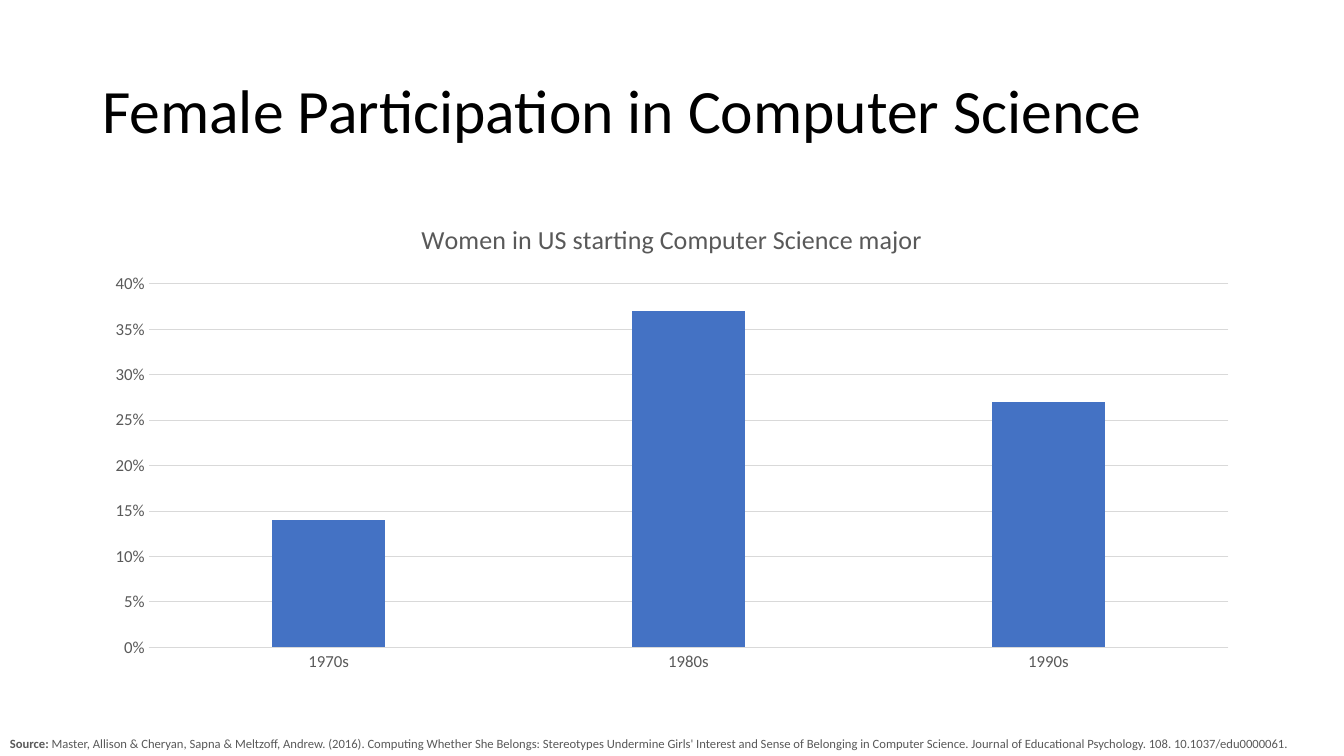
"""Build a slide with a column chart of women starting a Computer Science major."""
from pptx import Presentation
from pptx.chart.data import CategoryChartData
from pptx.dml.color import RGBColor
from pptx.enum.chart import XL_CHART_TYPE, XL_TICK_MARK
from pptx.enum.text import MSO_ANCHOR
from pptx.util import Cm, Pt

COLUMNS = XL_CHART_TYPE.COLUMN_CLUSTERED
NO_TICK = XL_TICK_MARK.NONE
MIDDLE, TOP = MSO_ANCHOR.MIDDLE, MSO_ANCHOR.TOP

BLACK = RGBColor(0x00, 0x00, 0x00)
WHITE = RGBColor(0xFF, 0xFF, 0xFF)
GREY = RGBColor(0x59, 0x59, 0x59)
LIGHT_GREY = RGBColor(0xD9, 0xD9, 0xD9)
BLUE = RGBColor(0x44, 0x72, 0xC4)
FONT = "Calibri"

TITLE = "Female Participation in Computer Science"
CHART_TITLE = "Women in US starting Computer Science major"
SHARES = {"1970s": 0.14, "1980s": 0.37, "1990s": 0.27}
SOURCE = [
    ("Source:", True),
    (" Master, Allison & Cheryan, Sapna & Meltzoff, Andrew. (2016). "
     "Computing Whether She Belongs: Stereotypes Undermine Girls' Interest "
     "and Sense of Belonging in Computer Science. Journal of Educational "
     "Psychology. 108. 10.1037/edu0000061.", False),
]

SLIDE_WIDTH, SLIDE_HEIGHT = Cm(33.87), Cm(19.05)
MARGIN = Cm(2.33)
CONTENT_WIDTH = SLIDE_WIDTH - 2 * MARGIN
SOURCE_HEIGHT = Cm(0.64)


def style_font(font, size, color, bold=False):
    font.name, font.size, font.bold = FONT, Pt(size), bold
    font.color.rgb = color


def style_line(line):
    line.color.rgb = LIGHT_GREY
    line.width = Pt(0.75)


def add_text(slide, runs, box, size, color, anchor=TOP, line_spacing=1.0):
    frame = slide.shapes.add_textbox(*box).text_frame
    frame.word_wrap = True
    frame.vertical_anchor = anchor
    paragraph = frame.paragraphs[0]
    paragraph.line_spacing = line_spacing
    for text, bold in runs:
        run = paragraph.add_run()
        run.text = text
        style_font(run.font, size, color, bold)


def add_share_chart(slide, box):
    data = CategoryChartData(number_format="0%")
    data.categories = list(SHARES)
    data.add_series(CHART_TITLE, list(SHARES.values()))
    chart = slide.shapes.add_chart(COLUMNS, *box, data).chart
    style_font(chart.font, 10, BLACK)
    chart.has_legend = False

    chart.has_title = True
    title_frame = chart.chart_title.text_frame
    title_frame.text = CHART_TITLE
    style_font(title_frame.paragraphs[0].runs[0].font, 18.6, GREY)
    chart.chart_title.include_in_layout = False

    plot = chart.plots[0]
    plot.vary_by_categories = False
    plot.gap_width, plot.overlap = 219, -27
    fill = plot.series[0].format.fill
    fill.solid()
    fill.fore_color.rgb = BLUE

    for axis in (chart.category_axis, chart.value_axis):
        axis.major_tick_mark = axis.minor_tick_mark = NO_TICK
        style_font(axis.tick_labels.font, 12, GREY)
    style_line(chart.category_axis.format.line)

    value_axis = chart.value_axis
    value_axis.minimum_scale, value_axis.maximum_scale = 0, 0.4
    value_axis.major_unit = 0.05
    value_axis.tick_labels.number_format = "0%"
    value_axis.tick_labels.number_format_is_linked = False
    value_axis.format.line.fill.background()
    value_axis.has_major_gridlines = True
    style_line(value_axis.major_gridlines.format.line)


presentation = Presentation()
presentation.slide_width, presentation.slide_height = SLIDE_WIDTH, SLIDE_HEIGHT
slide = presentation.slides.add_slide(presentation.slide_layouts[6])
slide.background.fill.solid()
slide.background.fill.fore_color.rgb = WHITE

add_text(slide, [(TITLE, False)], (MARGIN, Cm(1.01), CONTENT_WIDTH, Cm(3.68)),
         size=44, color=BLACK, anchor=MIDDLE, line_spacing=0.9)
add_share_chart(slide, (MARGIN, Cm(5.07), CONTENT_WIDTH, Cm(12.09)))
add_text(slide, SOURCE,
         (0, SLIDE_HEIGHT - SOURCE_HEIGHT, SLIDE_WIDTH, SOURCE_HEIGHT),
         size=9, color=GREY)

presentation.save("out.pptx")
